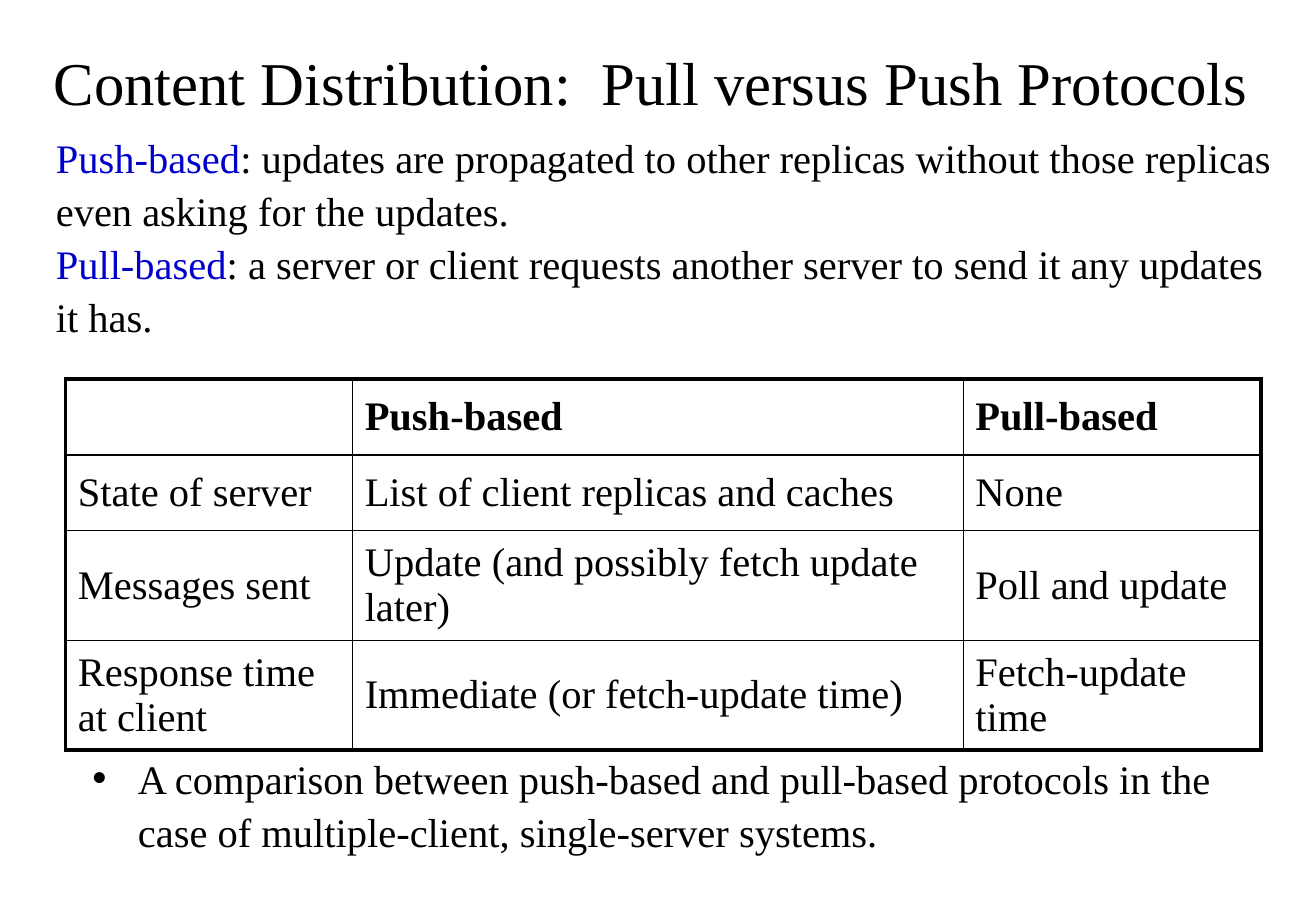
from dataclasses import dataclass

import pptx
import pptx.dml.color
import pptx.enum.text
import pptx.oxml.ns
import pptx.shapes.base
import pptx.table
import pptx.text.text
import pptx.util
from lxml import etree

Pt = pptx.util.Pt
RGBColor = pptx.dml.color.RGBColor
Align = pptx.enum.text.PP_ALIGN
Anchor = pptx.enum.text.MSO_ANCHOR

BLACK = RGBColor(0x00, 0x00, 0x00)
BLUE = RGBColor(0x00, 0x00, 0xCC)
FONT = "Times New Roman"
TEXT_SIZE = 24
TITLE_SIZE = 36
PROSE_SPACING = 1.09
OUTER_LINE = 2.25
INNER_LINE = 1


@dataclass(frozen=True)
class Box:
    left: float
    top: float
    width: float
    height: float


@dataclass(frozen=True)
class Definition:
    term: str
    meaning: str


TITLE_BOX = Box(24, 18, 723.6, 60)
DEFINITIONS_BOX = Box(26, 77, 741, 124)
TABLE_BOX = Box(39, 224.6, 708.5, 220)
CONCLUSION_BOX = Box(47.5, 440.6, 691, 96.5)

DEFINITIONS = [
    Definition(
        "Push-based",
        ": updates are propagated to other replicas without those replicas "
        "even asking for the updates.",
    ),
    Definition(
        "Pull-based",
        ": a server or client requests another server to send it any updates it has.",
    ),
]

COLUMN_WIDTHS = [170, 362, 176.5]
ROW_HEIGHTS = [45, 45, 65, 65]
COMPARISON = [
    ["", "Push-based", "Pull-based"],
    ["State of server", "List of client replicas and caches", "None"],
    ["Messages sent", "Update (and possibly fetch update later)", "Poll and update"],
    ["Response time at client", "Immediate (or fetch-update time)", "Fetch-update time"],
]


def place(shape: pptx.shapes.base.BaseShape, box: Box) -> None:
    shape.left, shape.top = Pt(box.left), Pt(box.top)
    shape.width, shape.height = Pt(box.width), Pt(box.height)


def add_run(
    paragraph: pptx.text.text._Paragraph,
    text: str,
    size: float = TEXT_SIZE,
    color: RGBColor = BLACK,
    bold: bool = False,
) -> None:
    run = paragraph.add_run()
    run.text = text
    run.font.name = FONT
    run.font.size = Pt(size)
    run.font.color.rgb = color
    run.font.bold = bold


def set_frame(frame: pptx.text.text.TextFrame, anchor: Anchor) -> None:
    frame.word_wrap = True
    frame.auto_size = pptx.enum.text.MSO_AUTO_SIZE.NONE
    frame.vertical_anchor = anchor


def set_bullet(paragraph: pptx.text.text._Paragraph, indent: float) -> None:
    """Give the paragraph a round bullet with a hanging indent in points."""
    properties = paragraph._p.get_or_add_pPr()
    properties.set("marL", str(Pt(indent)))
    properties.set("indent", str(-Pt(indent)))
    etree.SubElement(properties, pptx.oxml.ns.qn("a:buChar")).set("char", "•")


def add_border(cell: pptx.table._Cell, side: str, width: float) -> None:
    qn = pptx.oxml.ns.qn
    line = etree.SubElement(cell._tc.get_or_add_tcPr(), qn(f"a:ln{side}"), w=str(Pt(width)))
    fill = etree.SubElement(line, qn("a:solidFill"))
    etree.SubElement(fill, qn("a:srgbClr"), val=str(BLACK))


def add_comparison_table(slide: pptx.slide.Slide) -> None:
    last_row, last_column = len(ROW_HEIGHTS) - 1, len(COLUMN_WIDTHS) - 1
    box = TABLE_BOX
    table = slide.shapes.add_table(
        len(ROW_HEIGHTS), len(COLUMN_WIDTHS),
        Pt(box.left), Pt(box.top), Pt(box.width), Pt(box.height),
    ).table
    table.first_row = table.horz_banding = False
    for column, width in zip(table.columns, COLUMN_WIDTHS):
        column.width = Pt(width)
    for row, height in zip(table.rows, ROW_HEIGHTS):
        row.height = Pt(height)

    for row_index, texts in enumerate(COMPARISON):
        for column_index, text in enumerate(texts):
            cell = table.cell(row_index, column_index)
            cell.vertical_anchor = Anchor.MIDDLE
            outer_sides = {
                "L": column_index == 0,
                "R": column_index == last_column,
                "T": row_index == 0,
                "B": row_index == last_row,
            }
            for side, is_outer in outer_sides.items():
                add_border(cell, side, OUTER_LINE if is_outer else INNER_LINE)
            cell.fill.background()
            if text:
                add_run(cell.text_frame.paragraphs[0], text, bold=row_index == 0)


def add_definitions(slide: pptx.slide.Slide) -> None:
    box = DEFINITIONS_BOX
    shape = slide.shapes.add_textbox(
        Pt(box.left), Pt(box.top), Pt(box.width), Pt(box.height)
    )
    frame = shape.text_frame
    set_frame(frame, Anchor.MIDDLE)
    for index, definition in enumerate(DEFINITIONS):
        paragraph = frame.add_paragraph() if index else frame.paragraphs[0]
        paragraph.line_spacing = PROSE_SPACING
        add_run(paragraph, definition.term, color=BLUE)
        add_run(paragraph, definition.meaning)


def main() -> None:
    presentation = pptx.Presentation()
    presentation.slide_width, presentation.slide_height = Pt(780), Pt(540)
    slide = presentation.slides.add_slide(presentation.slide_layouts[1])

    title = slide.shapes.title
    place(title, TITLE_BOX)
    set_frame(title.text_frame, Anchor.MIDDLE)
    title.text_frame.margin_left = title.text_frame.margin_right = Pt(3)
    heading = title.text_frame.paragraphs[0]
    heading.alignment = Align.CENTER
    add_run(heading, "Content Distribution:  Pull versus Push Protocols", TITLE_SIZE)

    body = slide.placeholders[1]
    place(body, CONCLUSION_BOX)
    set_frame(body.text_frame, Anchor.TOP)
    conclusion = body.text_frame.paragraphs[0]
    conclusion.line_spacing = PROSE_SPACING
    set_bullet(conclusion, 27)
    add_run(
        conclusion,
        "A comparison between push-based and pull-based protocols in the case of "
        "multiple-client, single-server systems.",
    )

    add_comparison_table(slide)
    add_definitions(slide)
    presentation.save("out.pptx")


if __name__ == "__main__":
    main()
